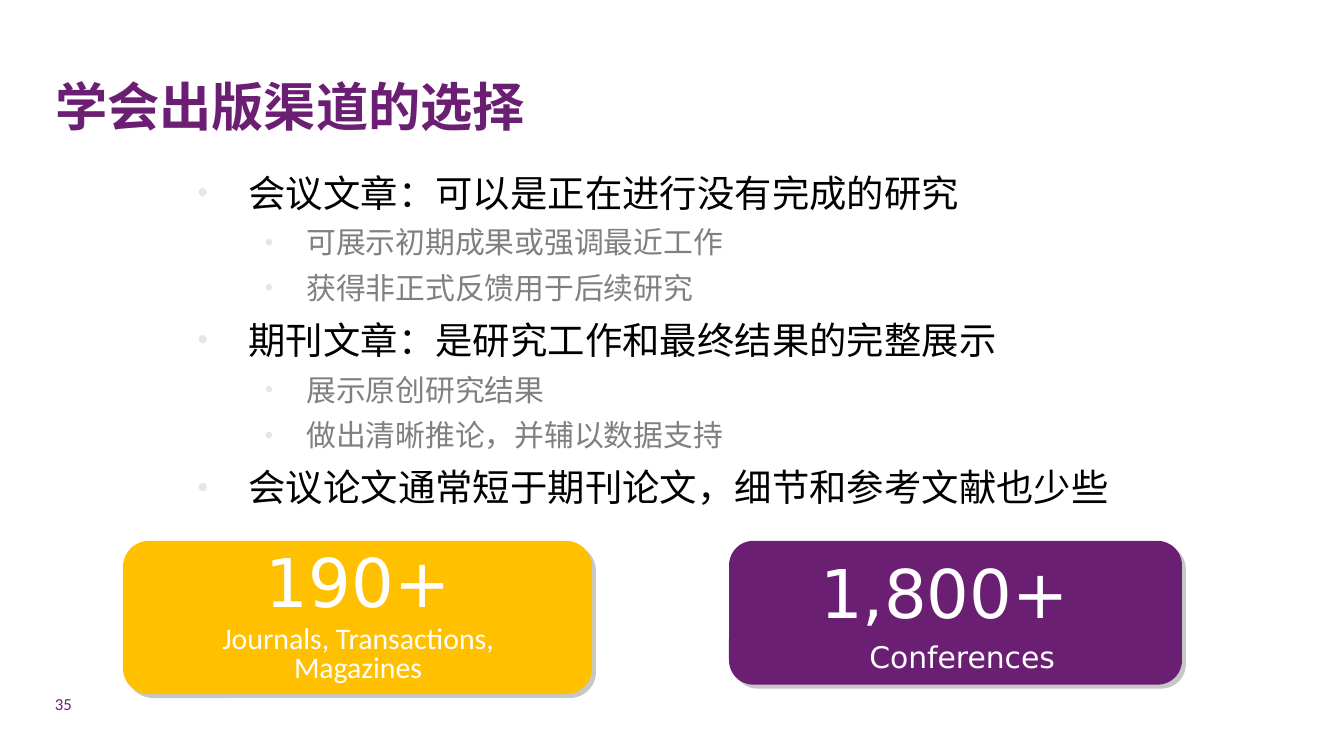
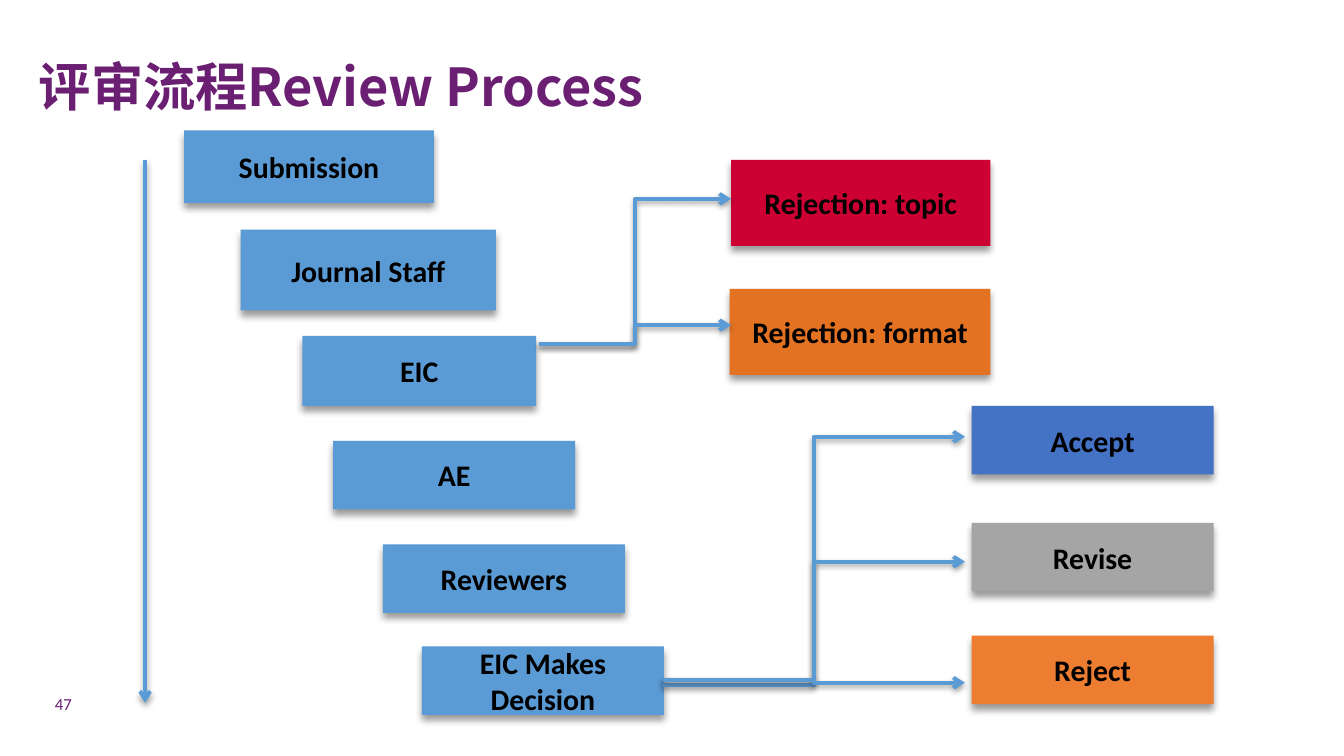
"""Build two slides on publishing channels and the review process."""
from dataclasses import dataclass

from lxml import etree
from pptx import Presentation
from pptx.dml.color import RGBColor
from pptx.enum.shapes import MSO_CONNECTOR, MSO_SHAPE
from pptx.enum.text import MSO_ANCHOR, MSO_AUTO_SIZE, PP_ALIGN
from pptx.oxml.ns import qn
from pptx.util import Inches, Pt

RECTANGLE = MSO_SHAPE.RECTANGLE
ROUNDED = MSO_SHAPE.ROUNDED_RECTANGLE
STRAIGHT = MSO_CONNECTOR.STRAIGHT
ELBOW = MSO_CONNECTOR.ELBOW
TOP, MIDDLE = MSO_ANCHOR.TOP, MSO_ANCHOR.MIDDLE
LEFT, CENTER = PP_ALIGN.LEFT, PP_ALIGN.CENTER
NO_AUTOFIT = MSO_AUTO_SIZE.NONE
CONTENT_LAYOUT, TITLE_ONLY_LAYOUT = 1, 5
CJK_FONT, LATIN_FONT, NUMBER_FONT = "Noto Sans CJK SC", "Calibri", "DejaVu Sans"
SPACE_RATIO = 0.2
COLORS = {
    "purple": "6B1F73", "white": "FFFFFF", "black": "000000", "gray": "808080",
    "bullet": "E7E6E6", "gold": "FFC000", "blue": "5B9BD5", "crimson": "CC0033",
    "orange": "E37222", "royal": "4472C4", "silver": "A5A5A5", "tangerine": "ED7D31",
}


@dataclass(frozen=True)
class Box:
    """Position and size in inches."""
    left: float
    top: float
    width: float
    height: float

    def lengths(self) -> tuple:
        """Return the four values as lengths."""
        return tuple(Inches(v) for v in (self.left, self.top, self.width, self.height))


@dataclass(frozen=True)
class Shadow:
    """Outer shadow: opacity in percent, blur and distance in points, angle in degrees."""
    color: str
    opacity: int
    blur: float
    distance: float
    angle: int


@dataclass(frozen=True)
class TextStyle:
    """Font settings of a run."""
    size: float
    font: str
    color: str
    bold: bool = False


@dataclass(frozen=True)
class BulletLevel:
    """Look of one outline level."""
    style: TextStyle
    margin: float
    hanging: float


@dataclass(frozen=True)
class StatCard:
    """Rounded card with a large number and a caption."""
    box: Box
    text_box: Box
    color: str
    number_runs: tuple
    caption: str
    caption_font: str


@dataclass(frozen=True)
class Step:
    """Labelled box of the review flow."""
    label: str
    box: Box
    color: str = "blue"


@dataclass(frozen=True)
class Arrow:
    """Connector from start to end, in inches."""
    start: tuple
    end: tuple
    kind: MSO_CONNECTOR = ELBOW


CARD_SHADOW = Shadow("gray", 43, 0, 3, 45)
STEP_SHADOW = Shadow("black", 40, 4, 3, 90)
ARROW_SHADOW = Shadow("black", 38, 3.1, 1.6, 90)
TITLE_STYLE = TextStyle(28, CJK_FONT, "purple", True)
PAGE_STYLE = TextStyle(9, LATIN_FONT, "purple")
STEP_STYLE = TextStyle(16, LATIN_FONT, "black", True)
PAGE_BOX = Box(0.31, 5.09, 0.53, 0.3)
OUTLINE_BOX = Box(1.37, 1.18, 7.19, 2.78)
LEVELS = (
    BulletLevel(TextStyle(20, CJK_FONT, "black"), 0.38, 0.38),
    BulletLevel(TextStyle(16, CJK_FONT, "gray"), 0.81, 0.31),
)
OUTLINE = (
    (0, "会议文章：可以是正在进行没有完成的研究"),
    (1, "可展示初期成果或强调最近工作"),
    (1, "获得非正式反馈用于后续研究"),
    (0, "期刊文章：是研究工作和最终结果的完整展示"),
    (1, "展示原创研究结果"),
    (1, "做出清晰推论，并辅以数据支持"),
    (0, "会议论文通常短于期刊论文，细节和参考文献也少些"),
)
CARDS = (
    StatCard(Box(0.92, 4.03, 3.48, 1.13), Box(1.06, 4.09, 3.21, 1.07), "gold",
             (("190+", 36),), "Journals, Transactions, Magazines", LATIN_FONT),
    StatCard(Box(5.43, 4.03, 3.36, 1.06), Box(5.43, 3.91, 3.46, 1.18), "purple",
             (("1,800+", 36), (" ", 60)), "Conferences", NUMBER_FONT),
)
OUTCOME_LEFT, OUTCOME_WIDTH, STEP_HEIGHT = 7.23, 1.8, 0.51
STEPS = (
    Step("Submission", Box(1.37, 0.97, 1.86, 0.54)),
    Step("Journal Staff", Box(1.79, 1.71, 1.9, 0.6)),
    Step("EIC", Box(2.25, 2.5, 1.74, 0.52)),
    Step("AE", Box(2.48, 3.28, 1.8, STEP_HEIGHT)),
    Step("Reviewers", Box(2.85, 4.05, 1.8, STEP_HEIGHT)),
    Step("EIC Makes Decision", Box(3.14, 4.81, 1.8, STEP_HEIGHT)),
    Step("Rejection: topic", Box(5.44, 1.19, 1.93, 0.64), "crimson"),
    Step("Rejection: format", Box(5.43, 2.15, 1.94, 0.64), "orange"),
) + tuple(
    Step(label, Box(OUTCOME_LEFT, top, OUTCOME_WIDTH, STEP_HEIGHT), color)
    for label, top, color in (
        ("Accept", 3.02, "royal"), ("Revise", 3.89, "silver"), ("Reject", 4.73, "tangerine"))
)
ARROWS = (
    Arrow((1.08, 1.19), (1.08, 5.23), STRAIGHT),
    Arrow((4.01, 2.56), (5.44, 1.48)),
    Arrow((4.01, 2.56), (5.44, 2.42)),
    Arrow((4.93, 5.06), (7.18, 3.25)),
    Arrow((4.93, 5.1), (7.18, 4.18)),
    Arrow((4.93, 5.06), (7.18, 5.08)),
)


def rgb(name: str) -> RGBColor:
    """Look up a named colour."""
    return RGBColor.from_string(COLORS[name])


def add_child(parent, tag: str, **attributes: object):
    """Append a drawing element with its attributes."""
    return etree.SubElement(parent, qn(tag), {k: str(v) for k, v in attributes.items()})


def place(shape, box: Box) -> None:
    """Move and size a shape."""
    shape.left, shape.top, shape.width, shape.height = box.lengths()


def add_run(paragraph, text: str, style: TextStyle) -> None:
    """Add one formatted run."""
    run = paragraph.add_run()
    run.text = text
    run.font.size = Pt(style.size)
    run.font.bold = style.bold
    run.font.color.rgb = rgb(style.color)
    run.font.name = style.font
    add_child(run.font._element, "a:ea", typeface=style.font)


def prepare_frame(shape, anchor: MSO_ANCHOR):
    """Set wrapping and anchoring, and return the text frame."""
    frame = shape.text_frame
    frame.word_wrap = True
    frame.auto_size = NO_AUTOFIT
    frame.vertical_anchor = anchor
    return frame


def add_shadow(shape, shadow: Shadow) -> None:
    """Give a shape or connector an outer shadow."""
    properties = shape.element.spPr
    effects = properties.find(qn("a:effectLst"))
    if effects is None:
        effects = add_child(properties, "a:effectLst")
    outer = add_child(effects, "a:outerShdw", blurRad=Pt(shadow.blur), dist=Pt(shadow.distance),
                      dir=shadow.angle * 60000, algn="ctr", rotWithShape=0)
    color = add_child(outer, "a:srgbClr", val=COLORS[shadow.color])
    add_child(color, "a:alpha", val=shadow.opacity * 1000)


def add_block(slide, kind: MSO_SHAPE, box: Box, color: str, shadow: Shadow):
    """Draw a filled shape with a shadow and no outline."""
    shape = slide.shapes.add_shape(kind, *box.lengths())
    shape.fill.solid()
    shape.fill.fore_color.rgb = rgb(color)
    shape.line.fill.background()
    shape.shadow.inherit = False
    add_shadow(shape, shadow)
    return shape


def add_slide(presentation, layout: int, title: str, title_box: Box, page: str):
    """Add a slide with its title and page number."""
    slide = presentation.slides.add_slide(presentation.slide_layouts[layout])
    place(slide.shapes.title, title_box)
    paragraph = prepare_frame(slide.shapes.title, TOP).paragraphs[0]
    paragraph.alignment = LEFT
    add_run(paragraph, title, TITLE_STYLE)
    number = slide.shapes.add_textbox(*PAGE_BOX.lengths())
    add_run(prepare_frame(number, MIDDLE).paragraphs[0], page, PAGE_STYLE)
    return slide


def fill_outline(body) -> None:
    """Write the two-level bullet list."""
    place(body, OUTLINE_BOX)
    body.fill.solid()
    body.fill.fore_color.rgb = rgb("white")
    frame = prepare_frame(body, TOP)
    for index, (depth, text) in enumerate(OUTLINE):
        level = LEVELS[depth]
        paragraph = frame.add_paragraph() if index else frame.paragraphs[0]
        paragraph.level = depth
        properties = paragraph._p.get_or_add_pPr()
        properties.set("marL", str(Inches(level.margin)))
        properties.set("indent", str(-Inches(level.hanging)))
        add_child(add_child(properties, "a:buClr"), "a:srgbClr", val=COLORS["bullet"])
        add_child(properties, "a:buSzPct", val=80000)
        add_child(properties, "a:buChar", char="•")
        paragraph.line_spacing = 1.1
        paragraph.space_before = Pt(level.style.size * SPACE_RATIO if index else 0)
        add_run(paragraph, text, level.style)


def add_card(slide, card: StatCard) -> None:
    """Draw a card with its number and caption."""
    shape = add_block(slide, ROUNDED, card.box, card.color, CARD_SHADOW)
    shape.line.color.rgb = rgb(card.color)
    shape.line.width = Pt(0.75)
    frame = prepare_frame(slide.shapes.add_textbox(*card.text_box.lengths()), TOP)
    number, caption = frame.paragraphs[0], frame.add_paragraph()
    for paragraph in (number, caption):
        paragraph.alignment = CENTER
        paragraph.line_spacing = 0.8
    caption_style = TextStyle(16, card.caption_font, "white")
    caption.space_before = Pt(caption_style.size * SPACE_RATIO)
    for text, size in card.number_runs:
        add_run(number, text, TextStyle(size, NUMBER_FONT, "white"))
    add_run(caption, card.caption, caption_style)


def add_step(slide, step: Step) -> None:
    """Draw a labelled box of the flow."""
    shape = add_block(slide, RECTANGLE, step.box, step.color, STEP_SHADOW)
    paragraph = prepare_frame(shape, MIDDLE).paragraphs[0]
    paragraph.alignment = CENTER
    add_run(paragraph, step.label, STEP_STYLE)


def add_arrow(slide, arrow: Arrow) -> None:
    """Draw a connector with an open arrowhead."""
    points = (Inches(value) for value in arrow.start + arrow.end)
    connector = slide.shapes.add_connector(arrow.kind, *points)
    connector.line.color.rgb = rgb("blue")
    connector.line.width = Pt(2)
    add_child(connector.element.spPr.find(qn("a:ln")), "a:tailEnd", type="arrow")
    add_shadow(connector, ARROW_SHADOW)


def main() -> None:
    """Build and save the presentation."""
    presentation = Presentation()
    presentation.slide_width = Inches(10)
    presentation.slide_height = Inches(10 * 9 / 16)
    channels = add_slide(presentation, CONTENT_LAYOUT, "学会出版渠道的选择",
                         Box(0.31, 0.5, 4.09, 0.57), "35")
    fill_outline(channels.placeholders[1])
    for card in CARDS:
        add_card(channels, card)
    review = add_slide(presentation, TITLE_ONLY_LAYOUT, "评审流程Review Process",
                       Box(0.19, 0.35, 4.83, 0.57), "47")
    for step in STEPS:
        add_step(review, step)
    for arrow in ARROWS:
        add_arrow(review, arrow)
    presentation.save("out.pptx")


if __name__ == "__main__":
    main()
